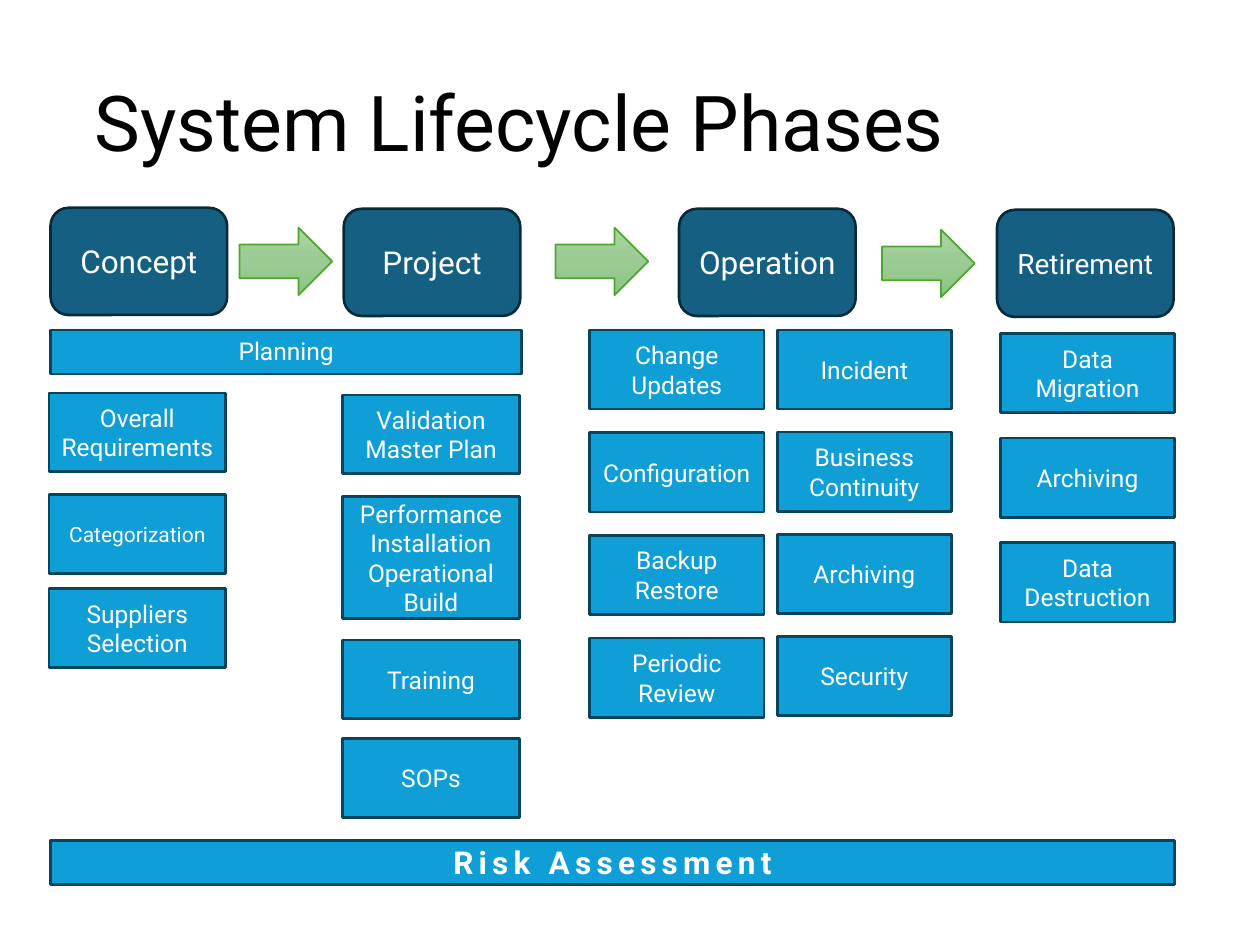
from copy import deepcopy
from pptx import Presentation, util as u
from pptx.dml.color import RGBColor
from pptx.enum import shapes, text
from pptx.oxml import ns

HUES = {
    "phase": "156082", "phase edge": "092A39",
    "task": "0F9ED5", "task edge": "07455D",
    "arrow edge": "4EA72E", "white": "FFFFFF", "black": "000000",
}
FADE = [(0, "A8D5A0"), (0.5, "9CCA94"), (1, "8AC680")]
KIND = shapes.MSO_SHAPE


def style(frame, size, hue, align):
    for para in frame.paragraphs:
        para.alignment = align
        for run in para.runs:
            run.font.name = "Roboto"
            run.font.size = u.Pt(size)
            run.font.color.rgb = RGBColor.from_string(HUES[hue])


def box(kind, role, place, label, size=14):
    item = slide.shapes.add_shape(kind, *map(u.Cm, place))
    item.shadow.inherit = False
    item.fill.solid()
    item.fill.fore_color.rgb = RGBColor.from_string(HUES[role])
    item.line.color.rgb = RGBColor.from_string(HUES[role + " edge"])
    item.line.width = u.Pt(1.5)
    frame = item.text_frame
    frame.word_wrap = True
    frame.vertical_anchor = text.MSO_ANCHOR.MIDDLE
    frame.text = label
    style(frame, size, "white", text.PP_ALIGN.CENTER)
    return item


deck = Presentation()
deck.slide_width, deck.slide_height = u.Cm(25.4), u.Cm(19.05)
slide = deck.slides.add_slide(deck.slide_layouts[5])

title = slide.shapes.title
title.left, title.top = u.Cm(1.65), u.Cm(0.71)
title.width, title.height = u.Cm(21.9), u.Cm(3.68)
title.text_frame.text = "System Lifecycle Phases"
title.text_frame.vertical_anchor = text.MSO_ANCHOR.MIDDLE
title.text_frame.paragraphs[0].line_spacing = 0.9
style(title.text_frame, 44, "black", text.PP_ALIGN.LEFT)

for left, top, label, size in [
    (1.02, 4.19, "Concept", 18),
    (6.93, 4.21, "Project", 18),
    (13.69, 4.21, "Operation", 18),
    (20.1, 4.23, "Retirement", 16),
]:
    box(KIND.ROUNDED_RECTANGLE, "phase", (left, top, 3.56, 2.16), label, size)

for left, top in [(4.83, 4.59), (11.2, 4.59), (17.78, 4.63)]:
    arrow = slide.shapes.add_shape(
        KIND.RIGHT_ARROW, u.Cm(left), u.Cm(top), u.Cm(1.87), u.Cm(1.36))
    arrow.shadow.inherit = False
    arrow.fill.gradient()
    arrow.fill.gradient_angle = 270
    first = next(arrow._element.iter(ns.qn("a:gs")))
    first.addnext(deepcopy(first))
    for stop, (place, hue) in zip(arrow.fill.gradient_stops, FADE):
        stop.position = place
        stop.color.rgb = RGBColor.from_string(hue)
    arrow.line.color.rgb = RGBColor.from_string(HUES["arrow edge"])
    arrow.line.width = u.Pt(1)

plan = box(KIND.RECTANGLE, "task", (1.02, 6.65, 9.5, 0.89), "Planning")
plan.text_frame.vertical_anchor = text.MSO_ANCHOR.TOP

for left, top, high, label, size in [
    (0.99, 7.92, 1.59, "Overall Requirements", 14),
    (0.99, 9.97, 1.59, "Categorization", 12),
    (0.99, 11.87, 1.59, "Suppliers Selection", 14),
    (6.91, 7.96, 1.59, "Validation Master Plan", 14),
    (6.91, 10.01, 2.46, "Performance\nInstallation\nOperational\nBuild", 14),
    (6.91, 12.9, 1.59, "Training", 14),
    (6.91, 14.89, 1.59, "SOPs", 14),
]:
    box(KIND.RECTANGLE, "task", (left, top, 3.56, high), label, size)

for left, top, step, labels in [
    (11.89, 6.65, 2.07,
     ["Change\nUpdates", "Configuration", "Backup Restore", "Periodic Review"]),
    (15.67, 6.65, 2.06,
     ["Incident", "Business Continuity", "Archiving", "Security"]),
    (20.17, 6.72, 2.11,
     ["Data Migration", "Archiving", "Data Destruction"]),
]:
    for row, label in enumerate(labels):
        box(KIND.RECTANGLE, "task", (left, top + row * step, 3.51, 1.6), label)

risk = box(KIND.RECTANGLE, "task", (1.02, 16.94, 22.66, 0.89),
           "Risk Assessment", 18)
run = risk.text_frame.paragraphs[0].runs[0]
run.font.bold = True
run._r.get_or_add_rPr().set("spc", "300")

deck.save("out.pptx")
